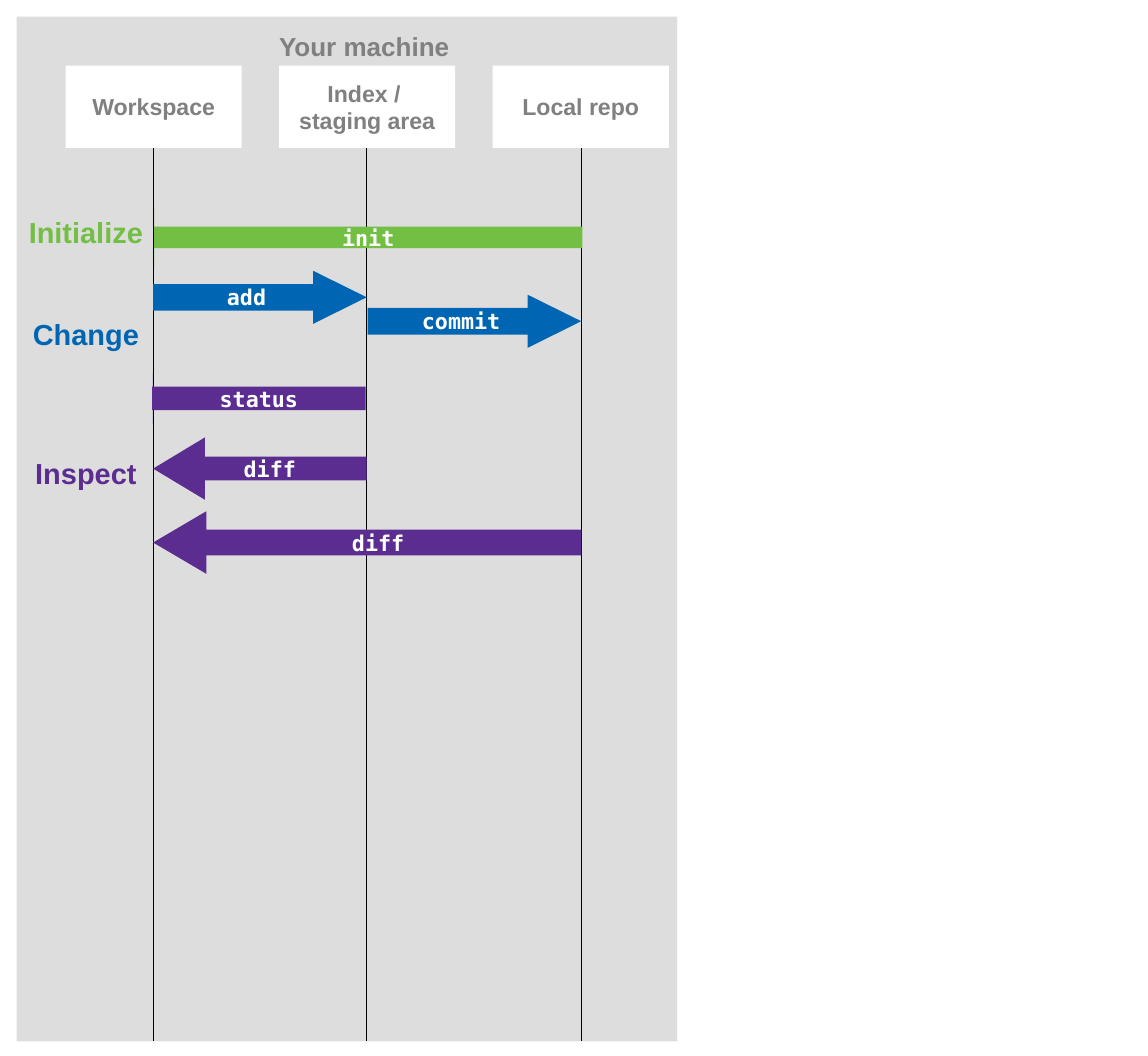
from lxml import etree
from pptx import Presentation
from pptx.dml.color import RGBColor
from pptx.enum import shapes, text
from pptx.oxml import ns
from pptx.util import Inches, Pt

BLACK = RGBColor(0x00, 0x00, 0x00)
WHITE = RGBColor(0xFF, 0xFF, 0xFF)
PANEL = RGBColor(0xDD, 0xDD, 0xDD)
GREY = RGBColor(0x80, 0x80, 0x80)
GREEN = RGBColor(0x72, 0xBF, 0x44)
BLUE = RGBColor(0x00, 0x66, 0xB3)
PURPLE = RGBColor(0x5C, 0x2D, 0x91)

SANS = "Arial"
MONO = "DejaVu Sans Mono"
RECTANGLE = shapes.MSO_SHAPE.RECTANGLE
RIGHT = shapes.MSO_SHAPE.RIGHT_ARROW
LEFT = shapes.MSO_SHAPE.LEFT_ARROW

LANES = [
    (0.63, 1.47, 1.38, "Workspace"),
    (2.68, 3.51, 1.42, "Index / \nstaging area"),
    (4.73, 5.58, 1.38, "Local repo"),
]
STAGES = [
    ("Initialize", 2.01, 0.41, GREEN),
    ("Change", 2.99, 0.72, BLUE),
    ("Inspect", 4.33, 0.41, PURPLE),
]
COMMANDS = [
    ("commit", RIGHT, (3.53, 2.83, 2.05, 0.51), (0.5, 1.01), BLUE),
    ("add", RIGHT, (1.47, 2.6, 2.05, 0.51), (0.5, 1.01), BLUE),
    ("init", LEFT, (1.48, 1.98, 4.11, 0.6), (0.34, 0), GREEN),
    ("diff", LEFT, (1.47, 4.91, 4.11, 0.6), (0.41, 0.85), PURPLE),
    ("diff", LEFT, (1.47, 4.2, 2.05, 0.6), (0.38, 0.83), PURPLE),
    ("status", LEFT, (1.46, 3.58, 2.05, 0.49), (0.46, 0), PURPLE),
]


def write(box, words, size, color, font=SANS, align=text.PP_ALIGN.CENTER, wrap=False):
    frame = box.text_frame
    frame.text = words
    frame.word_wrap = wrap
    for para in frame.paragraphs:
        para.alignment = align
        for span in para.runs:
            span.font.name = font
            span.font.size = Pt(size)
            span.font.bold = True
            span.font.color.rgb = color


def add_block(page, kind, place, fill):
    block = page.shapes.add_shape(kind, *map(Inches, place))
    block.shadow.inherit = False
    block.fill.solid()
    block.fill.fore_color.rgb = fill
    block.line.fill.background()
    block.text_frame.vertical_anchor = text.MSO_ANCHOR.MIDDLE
    return block


def add_lifeline(page, x, top):
    line = page.shapes.add_connector(
        shapes.MSO_CONNECTOR.STRAIGHT, Inches(x), Inches(top), Inches(x), Inches(10)
    )
    line.line.color.rgb = BLACK
    line.line.width = Pt(0.1)
    etree.SubElement(line._element.spPr, ns.qn("a:effectLst"))


def add_label(page, words, place, size, color, align=text.PP_ALIGN.CENTER):
    label = page.shapes.add_textbox(*map(Inches, place))
    write(label, words, size, color, align=align, wrap=True)
    label.text_frame.auto_size = text.MSO_AUTO_SIZE.SHAPE_TO_FIT_TEXT


def add_command(page, name, kind, place, adjustments, color):
    arrow = add_block(page, kind, place, color)
    for index, value in enumerate(adjustments):
        arrow.adjustments[index] = value
    write(arrow, name, 15, WHITE, font=MONO)


def main():
    deck = Presentation()
    deck.slide_width = Inches(11.02)
    deck.slide_height = Inches(10.14)
    page = deck.slides.add_slide(deck.slide_layouts[6])

    add_block(page, RECTANGLE, (0.16, 0.16, 6.34, 9.84), PANEL)
    for left, x, top, name in LANES:
        add_lifeline(page, x, top)
        header = add_block(page, RECTANGLE, (left, 0.63, 1.69, 0.79), WHITE)
        write(header, name, 16, GREY)
    for name, top, height, color in STAGES:
        add_label(page, name, (0.04, top, 1.57, height), 20, color)
    for command in COMMANDS:
        add_command(page, *command)
    add_label(page, "Your machine", (2.58, 0.24, 1.95, 0.38), 18, GREY, text.PP_ALIGN.LEFT)

    deck.save("out.pptx")


if __name__ == "__main__":
    main()
